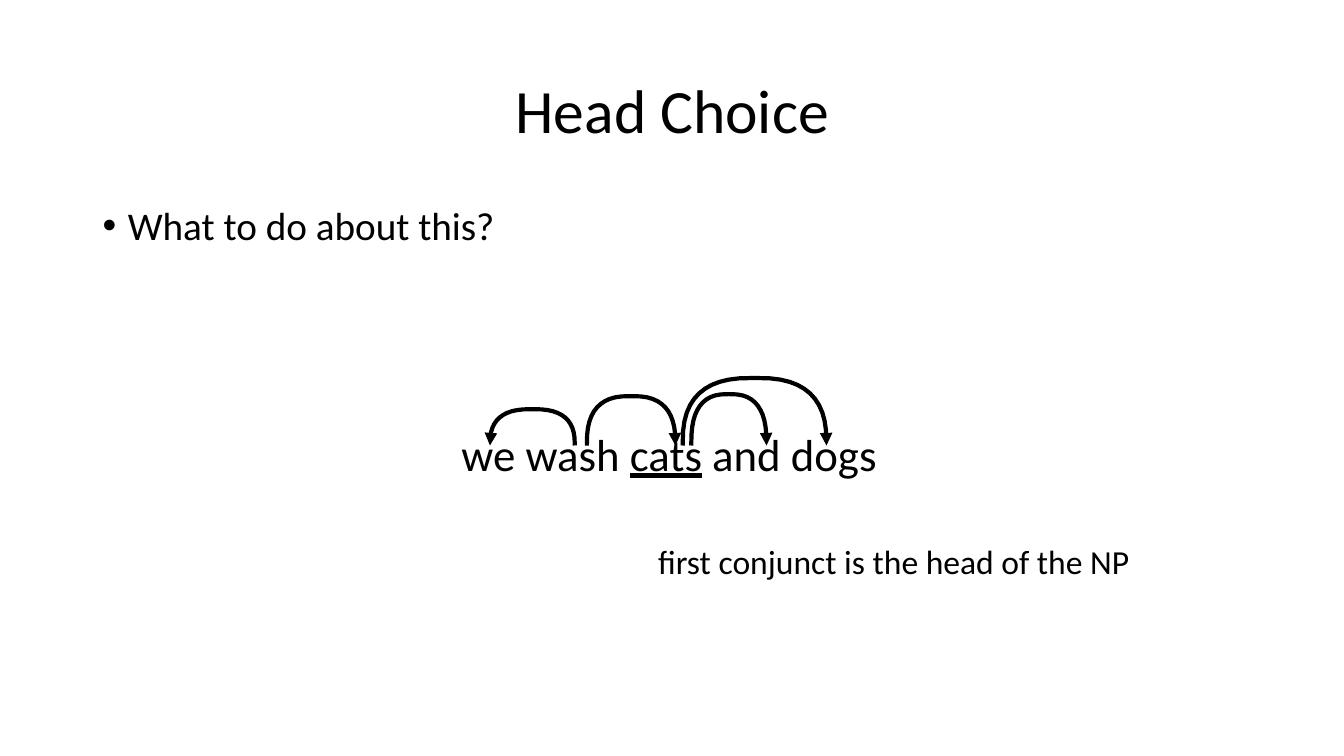
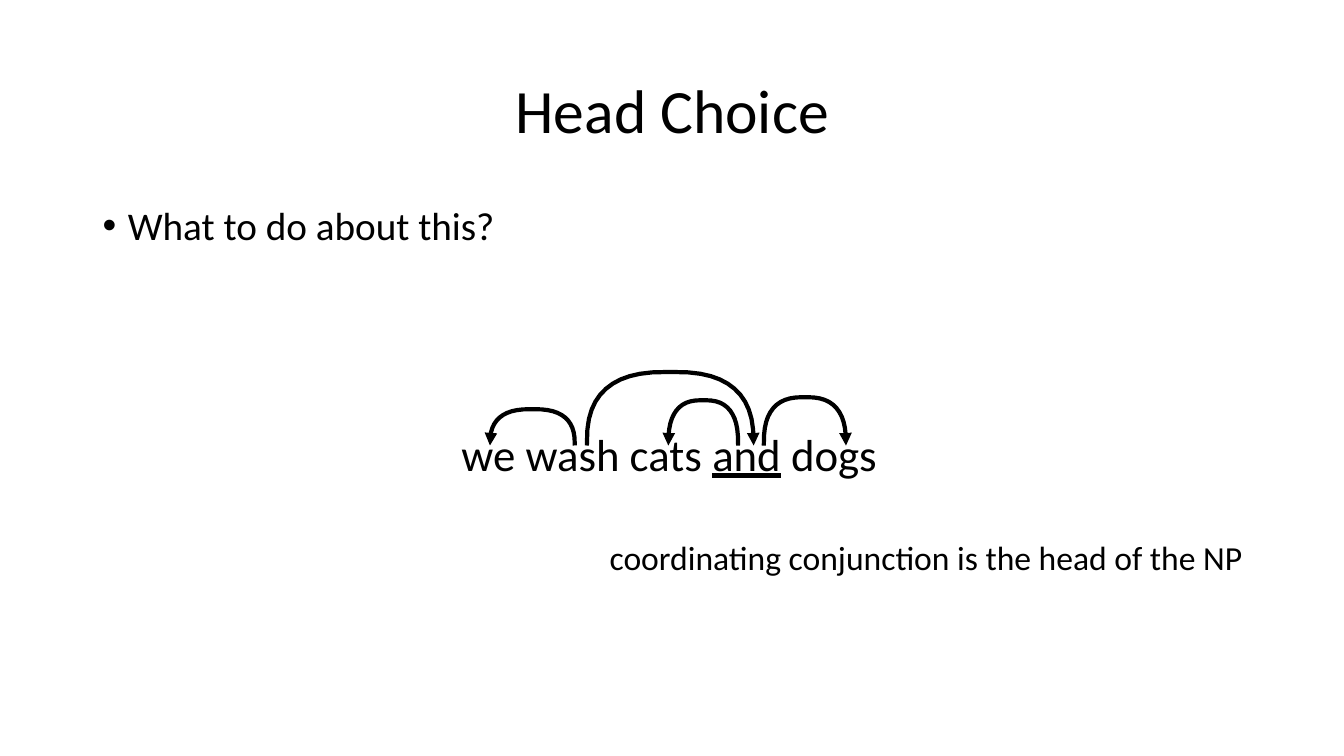
import math

import pptx
import pptx.dml.color
import pptx.enum.text
import pptx.util
from lxml import etree
from pptx.oxml.ns import qn

COLORS = {"ink": "000000", "paper": "FFFFFF"}
INK = pptx.dml.color.RGBColor.from_string(COLORS["ink"])
PAPER = pptx.dml.color.RGBColor.from_string(COLORS["paper"])
FONT = "Calibri"

deck = pptx.Presentation()
deck.slide_width = pptx.util.Inches(13.3333)
deck.slide_height = pptx.util.Inches(7.5)
CELL = deck.slide_height // 750  # the slide is a grid of 750 rows
INSET = 10  # cells between a text box's edge and its text
BULLET_INDENT = 25 * CELL

# The sentence: each word's width in columns, as set at 32 points.
WORD_WIDTHS = {"we": 53, "wash": 92, "cats": 71, "and": 67, "dogs": 84}
WORD_GAP = 10.5
SENTENCE = " ".join(WORD_WIDTHS)
SENTENCE_CELLS = (448, 418, 437, 64)

word_left = {}
next_left = SENTENCE_CELLS[0] + INSET
for word, width in WORD_WIDTHS.items():
    word_left[word] = next_left
    next_left += width + WORD_GAP

# Arcs stand on one row, just above the words, and bend like a rounded box.
FOOT_ROW = 442
ARC_STEPS = 24
ARC_ROUNDNESS = 0.75  # 1 is an ellipse, 0 is a rectangle

# Each arc: head, share of its width where the arc leaves,
# dependent, share of its width where the arc lands, height in rows.
SUBJECT_ARC = ("wash", 0.53, "we", 0.53, 36)
ANALYSES = [
    {"np_head": "cats",
     "arcs": [SUBJECT_ARC,
              ("wash", 0.66, "cats", 0.65, 49),
              ("cats", 0.87, "and", 0.82, 51),
              ("cats", 0.75, "dogs", 0.44, 67)],
     "caption": "first conjunct is the head of the NP",
     "caption_cells": (643, 532, 492, 50)},
    {"np_head": "and",
     "arcs": [SUBJECT_ARC,
              ("wash", 0.66, "and", 0.63, 73),
              ("and", 0.40, "cats", 0.55, 45),
              ("and", 0.78, "dogs", 0.67, 48)],
     "caption": "coordinating conjunction is the head of the NP",
     "caption_cells": (595, 528, 654, 50)},
]


def write(slide, cells, pieces, size, wrap=False, bullet=False):
    """Add a one-paragraph text box; every second piece is underlined."""
    box = slide.shapes.add_textbox(*(n * CELL for n in cells))
    frame = box.text_frame
    frame.word_wrap = wrap
    line = frame.paragraphs[0]
    if bullet:
        props = line._p.get_or_add_pPr()
        props.set("marL", str(BULLET_INDENT))
        props.set("indent", str(-BULLET_INDENT))
        etree.SubElement(props, qn("a:buFont"), typeface="Arial")
        etree.SubElement(props, qn("a:buChar"), char="•")
    for index, piece in enumerate(pieces):
        run = line.add_run()
        run.text = piece
        if index % 2:
            run.font.underline = True
    if wrap:
        line.line_spacing = 0.9
    line.font.name = FONT
    line.font.size = pptx.util.Pt(size)
    line.font.color.rgb = INK
    return frame


def draw_arc(slide, head, leave, dependent, land, height):
    """Draw an arrow that arches from the head word to its dependent."""
    start = word_left[head] + leave * WORD_WIDTHS[head]
    end = word_left[dependent] + land * WORD_WIDTHS[dependent]
    middle, reach = (start + end) / 2, (end - start) / 2
    points = []
    for step in range(ARC_STEPS + 1):
        angle = math.pi * step / ARC_STEPS
        across = -math.cos(angle)
        across = math.copysign(abs(across) ** ARC_ROUNDNESS, across)
        rise = abs(math.sin(angle)) ** ARC_ROUNDNESS
        points.append(((middle + reach * across) * CELL,
                       (FOOT_ROW - height * rise) * CELL))

    pen = slide.shapes.build_freeform(*points[0])
    pen.add_line_segments(points[1:], close=False)
    arc = pen.convert_to_shape()
    arc.shadow.inherit = False
    arc.fill.background()
    arc.line.width = pptx.util.Pt(3)
    arc.line.color.rgb = INK
    stroke = arc.line._get_or_add_ln()
    etree.SubElement(stroke, qn("a:round"))
    etree.SubElement(stroke, qn("a:tailEnd"), type="triangle")


for analysis in ANALYSES:
    slide = deck.slides.add_slide(deck.slide_layouts[6])
    background = slide.background.fill
    background.solid()
    background.fore_color.rgb = PAPER

    heading = write(slide, (92, 40, 1150, 145), ["Head Choice"], 44, wrap=True)
    heading.vertical_anchor = pptx.enum.text.MSO_ANCHOR.MIDDLE
    heading.paragraphs[0].alignment = pptx.enum.text.PP_ALIGN.CENTER
    write(slide, (92, 200, 1150, 204), ["What to do about this?"], 28,
          wrap=True, bullet=True)

    write(slide, SENTENCE_CELLS, SENTENCE.partition(analysis["np_head"]), 32)
    for arc_rule in analysis["arcs"]:
        draw_arc(slide, *arc_rule)
    write(slide, analysis["caption_cells"], [analysis["caption"]], 24)

deck.save("out.pptx")
